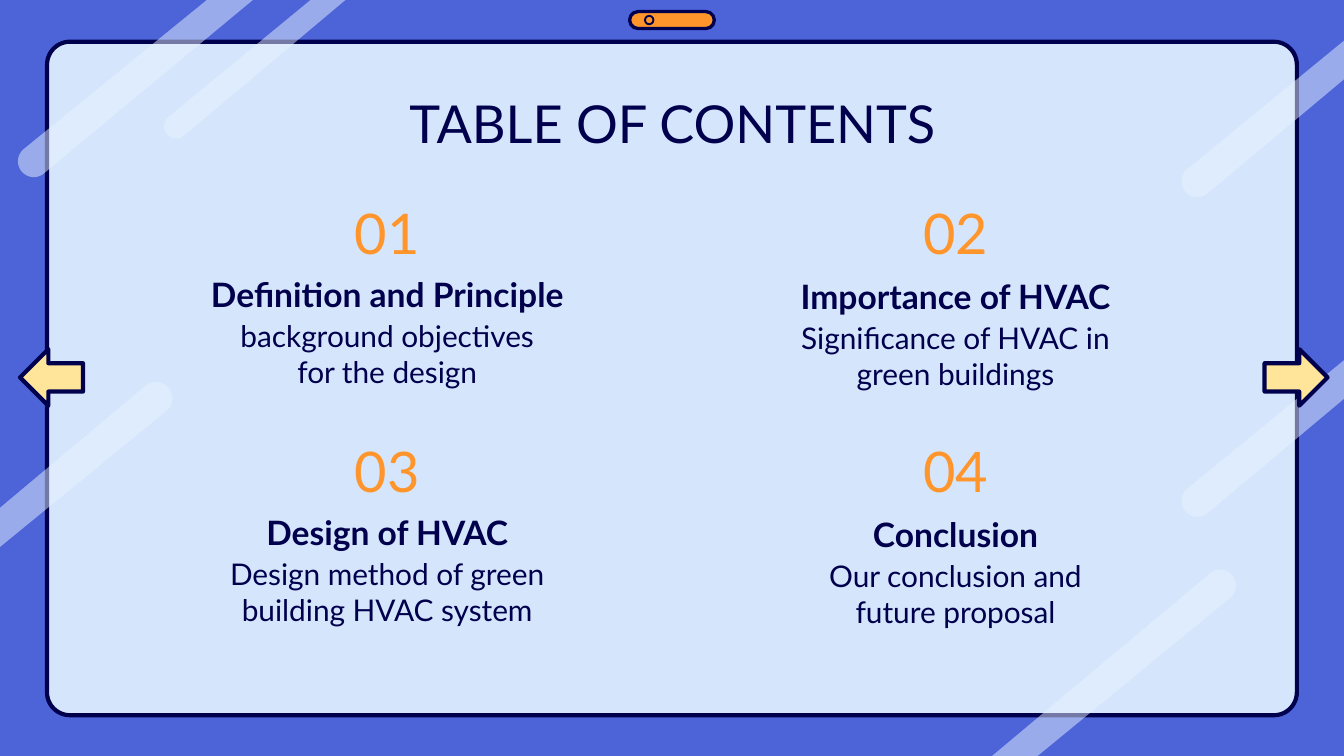
"""Build a contents slide with a framed panel and four numbered topics."""
from dataclasses import dataclass
from math import cos, radians, sin

from lxml import etree
from pptx import Presentation
from pptx import util as u
from pptx.dml.color import RGBColor
from pptx.enum import shapes, text
from pptx.oxml import ns


@dataclass(frozen=True)
class Theme:
    font: str = "Lato"
    backdrop: str = "4C64D8"
    panel: str = "D5E6FC"
    ink: str = "00004D"
    streak: str = "E9F3FF"
    accent: str = "FF952B"
    arrow: str = "FFE599"
    title_size: int = 28
    number_size: int = 30
    heading_size: int = 18
    body_size: int = 16
    outline: float = 2.25


class Builder:
    def __init__(self, theme, page):
        self.theme = theme
        self.page = page
        fill = page.background.fill
        fill.solid()
        fill.fore_color.rgb = RGBColor.from_string(theme.backdrop)

    def set_text(self, box, words, size, color, bold=False, anchor=text.MSO_ANCHOR.MIDDLE):
        frame = box.text_frame
        frame.word_wrap = True
        frame.auto_size = text.MSO_AUTO_SIZE.NONE
        frame.vertical_anchor = anchor
        frame.margin_left = frame.margin_right = u.Cm(0.25)
        frame.margin_top = frame.margin_bottom = u.Cm(0.25)
        para = frame.paragraphs[0]
        para.alignment = text.PP_ALIGN.CENTER
        span = para.add_run()
        span.text = words
        span.font.name = self.theme.font
        span.font.size = u.Pt(size)
        span.font.bold = bold
        span.font.color.rgb = RGBColor.from_string(color)

    def title(self, words, left, top, width, height):
        box = self.page.shapes.title
        box.left, box.top, box.width, box.height = map(u.Cm, (left, top, width, height))
        self.set_text(box, words, self.theme.title_size, self.theme.ink,
                      anchor=text.MSO_ANCHOR.TOP)
        box.element.getparent().append(box.element)

    def label(self, words, center, top, width, height, size, color, bold=False):
        place = map(u.Cm, (center - width / 2, top, width, height))
        self.set_text(self.page.shapes.add_textbox(*place), words, size, color, bold)

    def shape(self, kind, left, top, width, height, color, outline, adjustments=()):
        shape = self.page.shapes.add_shape(kind, *map(u.Cm, (left, top, width, height)))
        shape.shadow.inherit = False
        shape.fill.solid()
        shape.fill.fore_color.rgb = RGBColor.from_string(color)
        shape.line.color.rgb = RGBColor.from_string(self.theme.ink)
        shape.line.width = u.Pt(outline)
        for index, value in enumerate(adjustments):
            shape.adjustments[index] = value

    def streak(self, x, y, radius, start_angle, first_edge, last_edge):
        angles = [radians(start_angle + step) for step in range(0, 181, 10)]
        cap = [(x + radius * cos(angle), y + radius * sin(angle)) for angle in angles]
        points = [(u.Cm(px), u.Cm(py)) for px, py in [*cap, last_edge]]
        outline = self.page.shapes.build_freeform(*map(u.Cm, first_edge))
        outline.add_line_segments(points, close=True)
        shape = outline.convert_to_shape()
        shape.shadow.inherit = False
        shape.line.fill.background()
        shape.fill.solid()
        shape.fill.fore_color.rgb = RGBColor.from_string(self.theme.streak)
        color = next(shape.element.iter(ns.qn("a:srgbClr")))
        etree.SubElement(color, ns.qn("a:alpha"), val="50000")

    def topic(self, number, heading, body, center, top, shift):
        theme = self.theme
        self.label(number, center, top, 2.03, 1.07, theme.number_size, theme.accent)
        self.label(heading, center, top + 1.17 + shift, 9.04, 1.07,
                   theme.heading_size, theme.ink, True)
        self.label(body, center, top + 2.03 + shift, 6.58, 1.6,
                   theme.body_size, theme.ink)


def main():
    deck = Presentation()
    deck.slide_width, deck.slide_height = u.Cm(25.4), u.Cm(14.29)
    theme = Theme()
    builder = Builder(theme, deck.slides.add_slide(deck.slide_layouts[5]))
    kinds = shapes.MSO_SHAPE

    builder.shape(kinds.ROUNDED_RECTANGLE, 0.89, 0.79, 23.62, 12.73,
                  theme.panel, theme.outline, [0.034])

    downward, upward = 50, 230
    streaks = [
        (0.64, 3.05, 0.3, downward, (4.78, 0), (3.91, 0)),
        (3.33, 2.39, 0.23, downward, (6.53, 0), (5.87, 0)),
        (23.06, 11.07, 0.3, upward, (18.75, 14.29), (19.61, 14.29)),
        (22.63, 9.47, 0.3, downward, (25.4, 7.54), (25.4, 6.81)),
        (22.63, 3.43, 0.3, downward, (25.4, 1.5), (25.4, 0.77)),
        (2.95, 7.53, 0.31, upward, (0, 9.6), (0, 10.34)),
    ]
    for streak in streaks:
        builder.streak(*streak)

    builder.shape(kinds.ROUNDED_RECTANGLE, 11.9, 0.22, 1.6, 0.32, theme.accent, 1.75, [0.5])
    builder.shape(kinds.OVAL, 12.19, 0.3, 0.16, 0.16, theme.accent, 1)

    builder.title("TABLE OF CONTENTS", 2.01, 1.47, 21.39, 1.6)
    topics = [
        ("Definition and Principle", "background objectives for the design"),
        ("Importance of HVAC", "Significance of HVAC in green buildings"),
        ("Design of HVAC", "Design method of green building HVAC system"),
        ("Conclusion", "Our conclusion and future proposal"),
    ]
    for index, (heading, body) in enumerate(topics):
        row, column = divmod(index, 2)
        builder.topic(f"{index + 1:02}", heading, body,
                      7.32 + 10.74 * column, 3.86 + 4.5 * row, 0.03 * column)

    for kind, left in ((kinds.LEFT_ARROW, 0.38), (kinds.RIGHT_ARROW, 23.9)):
        builder.shape(kind, left, 6.6, 1.19, 1.07, theme.arrow, theme.outline, [0.5, 0.5])

    deck.save("out.pptx")


if __name__ == "__main__":
    main()
